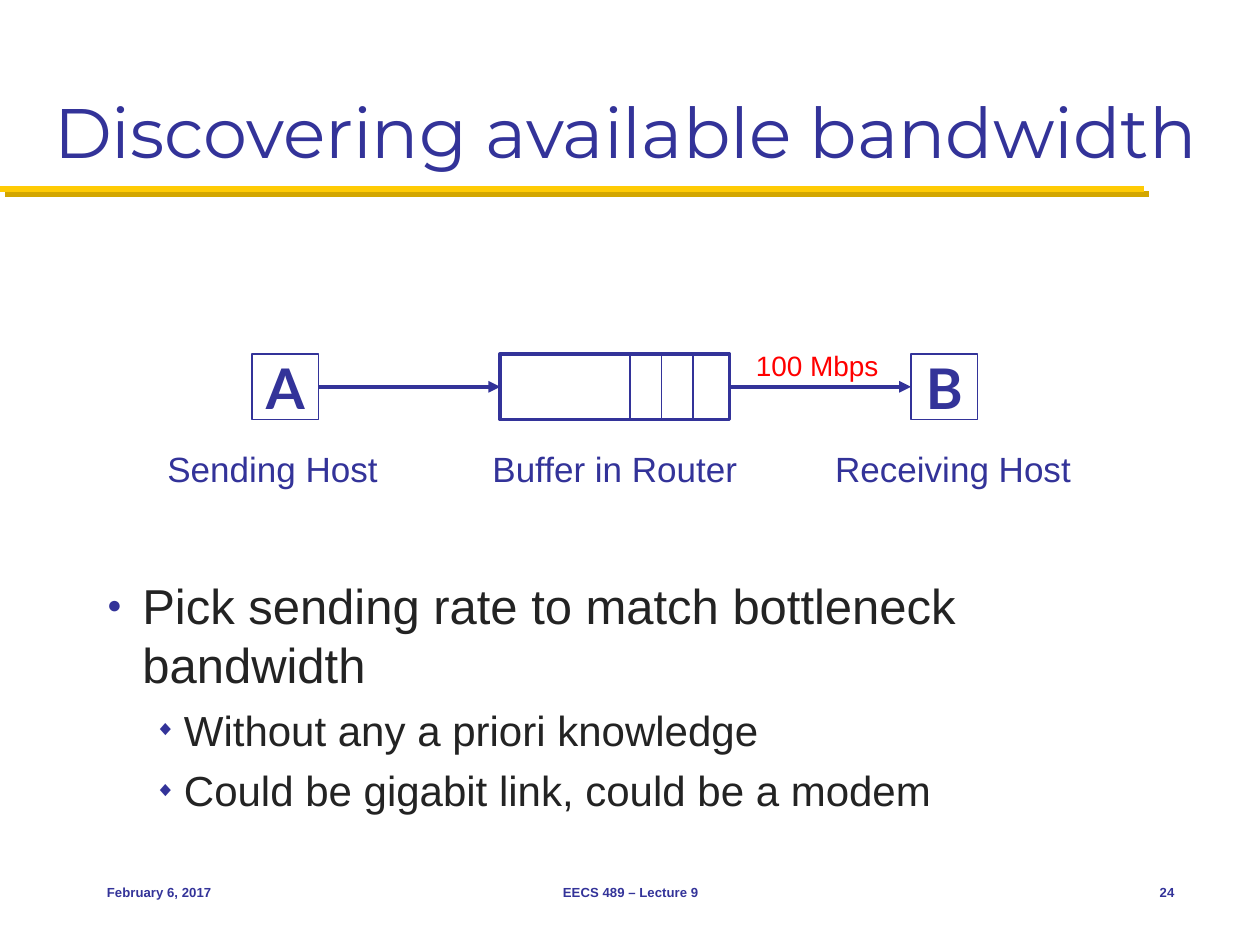
import pptx
import pptx.dml.color
import pptx.enum.shapes
import pptx.enum.text
import pptx.oxml
import pptx.oxml.ns
import pptx.util

Inches = pptx.util.Inches
Pt = pptx.util.Pt
ALIGN = pptx.enum.text.PP_ALIGN
ANCHOR = pptx.enum.text.MSO_ANCHOR
COLORS = {
    "ink": "333399",
    "body": "232323",
    "rate": "FF0000",
    "rule": "FFCB05",
    "rule_shadow": "D3A600",
    "paper": "FFFFFF",
}


def color(name):
    return pptx.dml.color.RGBColor.from_string(COLORS[name])


def add_xml(parent, tag, content="", **attributes):
    values = " ".join(f'{key}="{value}"' for key, value in attributes.items())
    namespace = pptx.oxml.ns.nsdecls("a")
    parent.append(pptx.oxml.parse_xml(f"<a:{tag} {namespace} {values}>{content}</a:{tag}>"))


def write_text(paragraph, text, size=20, font="Arial", ink="ink", bold=False, align=ALIGN.LEFT):
    paragraph.alignment = align
    run = paragraph.add_run()
    run.text = text
    run.font.size = Pt(size)
    run.font.name = font
    run.font.bold = bold
    run.font.color.rgb = color(ink)


def place(shape, box):
    shape.left, shape.top, shape.width, shape.height = (Inches(value) for value in box)


def add_label(slide, box, text, anchor=ANCHOR.TOP, **text_format):
    shape = slide.shapes.add_textbox(*(Inches(value) for value in box))
    frame = shape.text_frame
    frame.word_wrap = False
    frame.vertical_anchor = anchor
    write_text(frame.paragraphs[0], text, **text_format)


def add_line(slide, start, end, width, ink="ink", arrow=False, effect=""):
    line = slide.shapes.add_connector(
        pptx.enum.shapes.MSO_CONNECTOR.STRAIGHT,
        *(Inches(value) for value in (*start, *end)),
    )
    line.line.color.rgb = color(ink)
    line.line.width = Pt(width)
    if arrow:
        add_xml(line.line._get_or_add_ln(), "tailEnd", type="triangle")
    add_xml(line._element.spPr, "effectLst", effect)


def add_box(slide, box, width, text=None):
    shape = slide.shapes.add_shape(
        pptx.enum.shapes.MSO_SHAPE.RECTANGLE, *(Inches(value) for value in box)
    )
    shape.shadow.inherit = False
    shape.fill.solid()
    shape.fill.fore_color.rgb = color("paper")
    shape.line.color.rgb = color("ink")
    shape.line.width = Pt(width)
    if text:
        frame = shape.text_frame
        frame.word_wrap = False
        frame.vertical_anchor = ANCHOR.MIDDLE
        frame.margin_left = frame.margin_right = Inches(0.06)
        frame.margin_top = frame.margin_bottom = Inches(0.03)
        write_text(frame.paragraphs[0], text, size=32, font="Lato", bold=True, align=ALIGN.CENTER)


def build_title(slide, box, text):
    shadow = (
        '<a:outerShdw dist="53340" dir="2700000" algn="ctr" rotWithShape="0">'
        f'<a:srgbClr val="{COLORS["rule_shadow"]}"/></a:outerShdw>'
    )
    rule_top = box[1] + box[3] + 0.08
    add_line(slide, (0, rule_top), (9.08, rule_top), 3.5, ink="rule", effect=shadow)
    title = slide.shapes.title
    place(title, box)
    title.text_frame.auto_size = pptx.enum.text.MSO_AUTO_SIZE.NONE
    title.text_frame.vertical_anchor = ANCHOR.BOTTOM
    write_text(title.text_frame.paragraphs[0], text, size=40, font="Montserrat")


def build_list(slide, box, items):
    body = slide.placeholders[1]
    place(body, box)
    frame = body.text_frame
    frame.auto_size = pptx.enum.text.MSO_AUTO_SIZE.NONE
    levels = [("●", 28, 0.28, 0.28), ("◆", 24, 0.61, 0.23)]
    for index, (level, text) in enumerate(items):
        paragraph = frame.add_paragraph() if index else frame.paragraphs[0]
        bullet, size, margin, hanging = levels[level]
        paragraph.level = level
        properties = paragraph._p.get_or_add_pPr()
        properties.set("marL", str(Inches(margin)))
        properties.set("indent", str(-Inches(hanging)))
        add_xml(properties, "buClr", f'<a:srgbClr val="{COLORS["ink"]}"/>')
        add_xml(properties, "buSzPct", val=50000)
        add_xml(properties, "buFont", typeface="Arial")
        add_xml(properties, "buChar", char=bullet)
        paragraph.space_before = Pt(6 if index else 0)
        write_text(paragraph, text, size=size, ink="body")


def build_network(slide, box):
    left, top, width, height = box
    host_width, buffer_width = 0.53, 1.82
    link = (width - 2 * host_width - buffer_width) / 2
    buffer_left = left + host_width + link
    buffer_right = buffer_left + buffer_width
    receiver_left = left + width - host_width
    middle = top + height / 2

    add_label(slide, (buffer_right + 0.11, top - 0.09, 1.19, 0.37), "100 Mbps", size=16, ink="rate")
    captions = [
        (-0.77, 1.88, "Sending Host"),
        (1.81, 2.16, "Buffer in Router"),
        (4.53, 2.09, "Receiving Host"),
    ]
    for offset, caption_width, text in captions:
        add_label(slide, (left + offset, top + 0.69, caption_width, 0.43), text)

    add_box(slide, (left, top, host_width, height), 0.75, "A")
    add_box(slide, (buffer_left, top, buffer_width, height), 2.25)
    add_box(slide, (receiver_left, top, host_width, height), 0.75, "B")
    for start in (left + host_width, buffer_right):
        add_line(slide, (start, middle), (start + link, middle), 2.25, arrow=True)
    for slot in range(3):
        x = left + 3 + 0.25 * slot
        add_line(slide, (x, top), (x, top + height), 1)


def build_footer(slide, box):
    left, top, width, height = box
    parts = [
        (0, 2.08, "February 6, 2017", ALIGN.LEFT),
        (2.67, 3.17, "EECS 489 – Lecture 9", ALIGN.CENTER),
        (width - 0.67, 0.67, "24", ALIGN.RIGHT),
    ]
    for offset, part_width, text, align in parts:
        add_label(slide, (left + offset, top, part_width, height), text,
                  anchor=ANCHOR.MIDDLE, size=7.5, bold=True, align=align)


def main():
    presentation = pptx.Presentation()
    presentation.slide_width = Inches(10)
    presentation.slide_height = Inches(7.5)
    slide = presentation.slides.add_slide(presentation.slide_layouts[1])
    build_title(slide, (0.33, 0.17, 9.33, 1.25), "Discovering available bandwidth")
    build_list(slide, (0.75, 4.52, 8.67, 2.06), [
        (0, "Pick sending rate to match bottleneck bandwidth"),
        (1, "Without any a priori knowledge"),
        (1, "Could be gigabit link, could be a modem"),
    ])
    build_network(slide, (2, 2.81, 5.76, 0.52))
    build_footer(slide, (0.75, 6.83, 8.67, 0.5))
    presentation.save("out.pptx")


if __name__ == "__main__":
    main()
